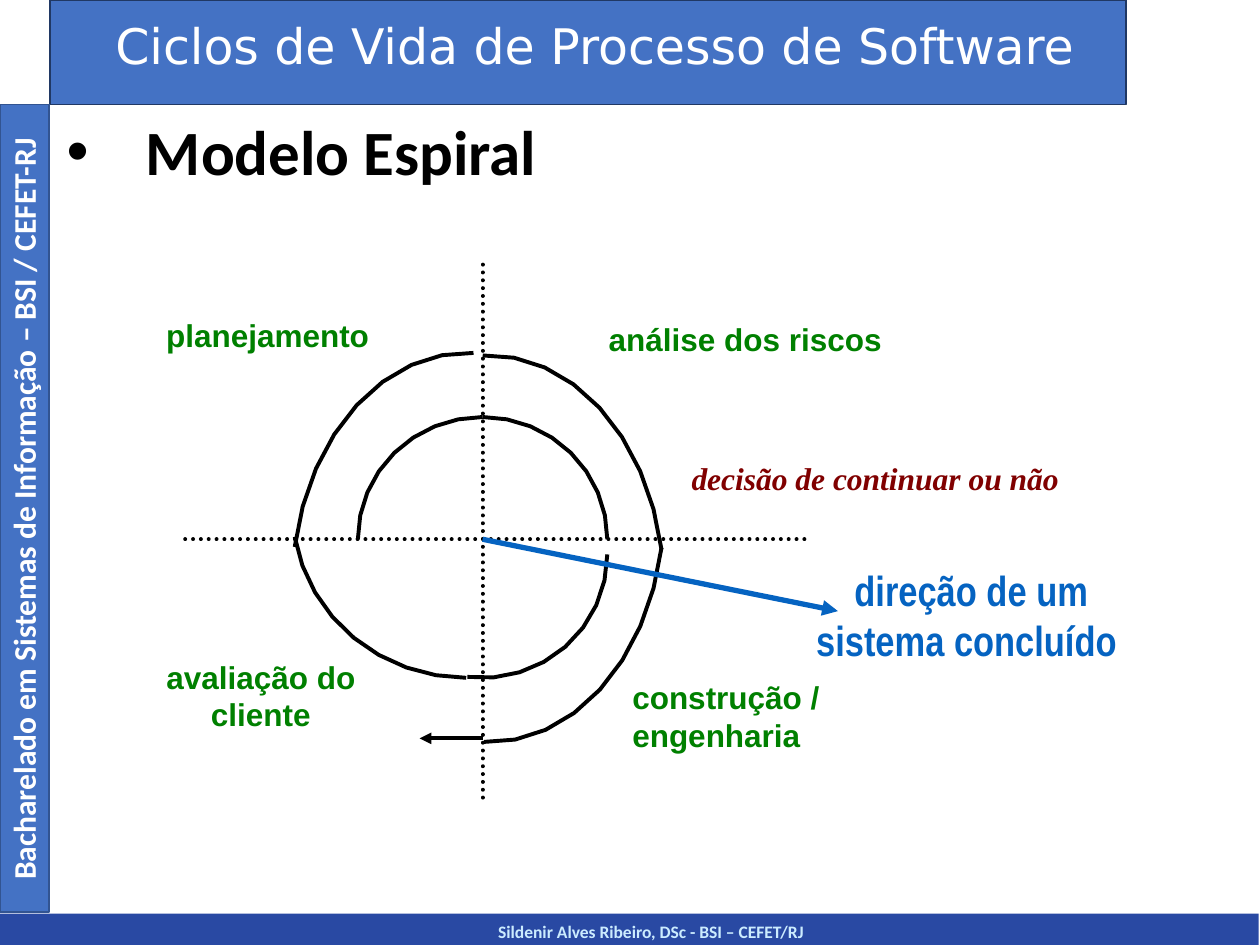
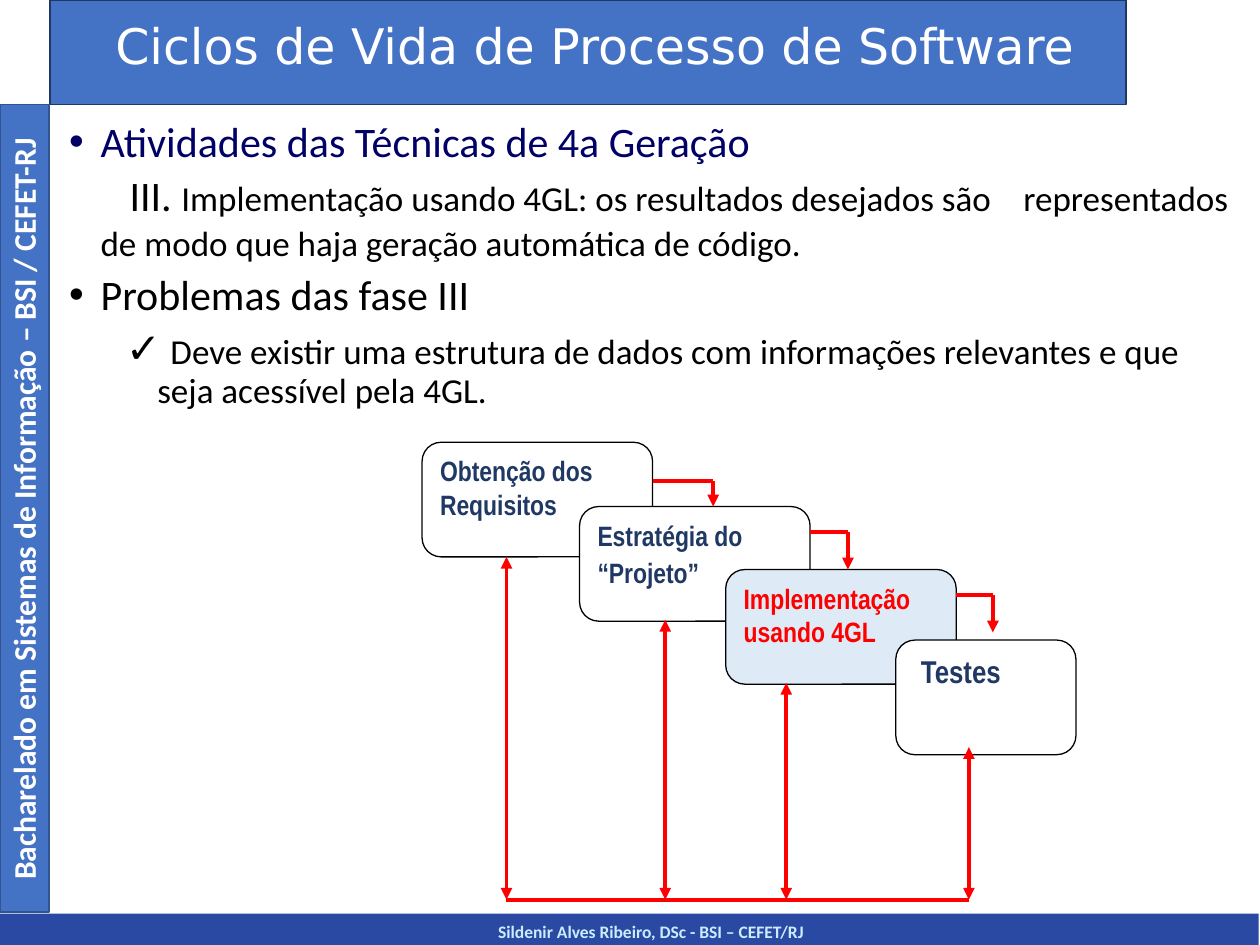
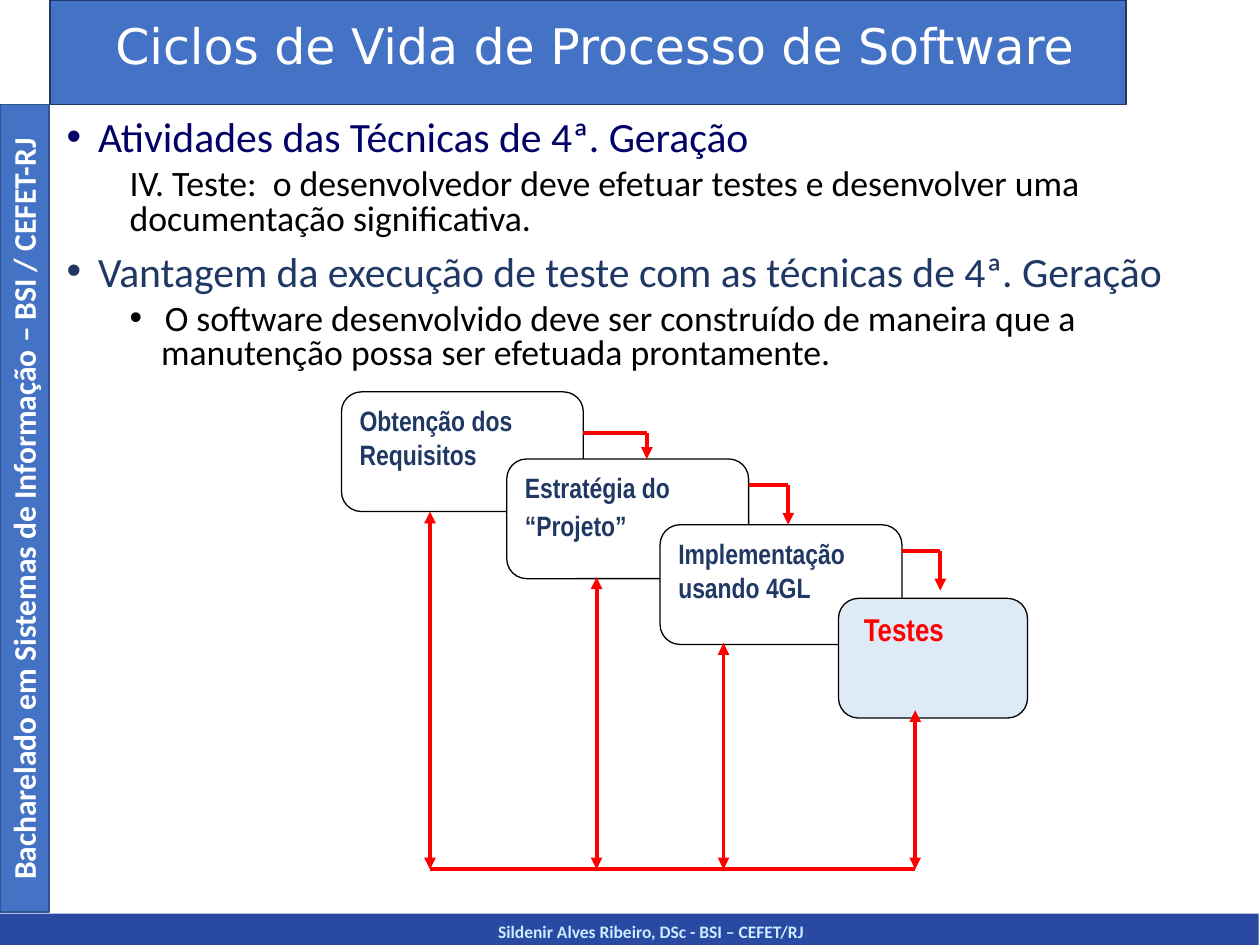
"""Builds three slides on software life cycle models."""
import math

import pptx
import pptx.dml.color
import pptx.enum.dml
import pptx.enum.shapes
import pptx.enum.text
import pptx.oxml
import pptx.oxml.ns
import pptx.util

Inches = pptx.util.Inches
Pt = pptx.util.Pt
RGBColor = pptx.dml.color.RGBColor
MSO_SHAPE = pptx.enum.shapes.MSO_SHAPE
CENTER = pptx.enum.text.PP_ALIGN.CENTER

BLACK = RGBColor(0x00, 0x00, 0x00)
WHITE = RGBColor(0xFF, 0xFF, 0xFF)
BAND_BLUE = RGBColor(0x44, 0x72, 0xC4)
FOOTER_BLUE = RGBColor(0x29, 0x49, 0xA3)
FOOTER_TEXT = RGBColor(0xCC, 0xEC, 0xFF)
DARK_BLUE = RGBColor(0x20, 0x38, 0x64)
SIDE_LINE = RGBColor(0x32, 0x54, 0x91)
NAVY = RGBColor(0x00, 0x00, 0x66)
PALE_BLUE = RGBColor(0xDE, 0xEB, 0xF7)
LINK_BLUE = RGBColor(0x05, 0x63, 0xC1)
GREEN = RGBColor(0x00, 0x80, 0x00)
MAROON = RGBColor(0x80, 0x00, 0x00)
RED = RGBColor(0xFF, 0x00, 0x00)

STEP_WIDTH, LAST_STEP_WIDTH, STEP_HEIGHT = 1.83, 1.43, 0.91
STEPS = [
    ("Obtenção dos Requisitos", 0, 0),
    ("Estratégia do “Projeto”", 1.25, 0.51),
    ("Implementação usando 4GL", 2.41, 1.01),
    ("Testes", 3.76, 1.57),
]
ELBOWS = [(0.31, 2.31, 0.51), (0.71, 3.38, 1.01), (1.21, 4.53, 1.51)]
RETURNS = [(0.67, 0.91), (1.93, 1.41), (2.89, 1.91), (4.34, 2.42)]
RETURN_BASE = 3.63


def write(paragraph, text, font="Calibri", size=18, color=BLACK, bold=False, italic=False,
          tracking=0):
    """Append a formatted run to a paragraph."""
    run = paragraph.add_run()
    run.text = text
    run.font.name = font
    run.font.size = Pt(size)
    run.font.color.rgb = color
    run.font.bold = bold
    run.font.italic = italic
    if tracking:
        run._r.get_or_add_rPr().set("spc", str(round(tracking * 100)))


def append_xml(parent, tag, inner="", **attributes):
    """Append a DrawingML element to a parent element."""
    listed = "".join(f' {name}="{value}"' for name, value in attributes.items())
    namespace = pptx.oxml.ns.nsdecls("a")
    parent.append(pptx.oxml.parse_xml(f"<a:{tag} {namespace}{listed}>{inner}</a:{tag}>"))


def lay_out(paragraph, margin=0, indent=0, spacing=0.9, before=0, bullet=None, tab=None):
    """Set spacing, indents, bullet and tab stop of a paragraph."""
    paragraph.line_spacing = spacing
    paragraph.space_before = Pt(before)
    properties = paragraph._p.get_or_add_pPr()
    properties.set("marL", str(Inches(margin)))
    properties.set("indent", str(Inches(indent)))
    if bullet:
        append_xml(properties, "buFont", typeface="Arial")
        append_xml(properties, "buChar", char=bullet)
    if tab:
        append_xml(properties, "tabLst", f'<a:tab pos="{Inches(tab)}" algn="l"/>')


def add_text_box(slide, left, top, width, height):
    """Add a wrapping text box and return it."""
    box = slide.shapes.add_textbox(Inches(left), Inches(top), Inches(width), Inches(height))
    box.text_frame.word_wrap = True
    return box


def add_label(slide, text, left, top, width, height, align=None, **style):
    """Add a text box with one formatted paragraph."""
    box = add_text_box(slide, left, top, width, height)
    paragraph = box.text_frame.paragraphs[0]
    paragraph.alignment = align
    write(paragraph, text, **style)
    return box


def add_body(slide, left, top, width, height, paragraphs):
    """Add a text box from pairs of layout and runs."""
    frame = add_text_box(slide, left, top, width, height).text_frame
    for index, (layout, runs) in enumerate(paragraphs):
        paragraph = frame.add_paragraph() if index else frame.paragraphs[0]
        lay_out(paragraph, **layout)
        for text, style in runs:
            write(paragraph, text, **style)


def add_block(slide, kind, left, top, width, height, fill, line=None, weight=1):
    """Add a filled preset shape."""
    shape = slide.shapes.add_shape(
        kind, Inches(left), Inches(top), Inches(width), Inches(height))
    shape.shadow.inherit = False
    shape.fill.solid()
    shape.fill.fore_color.rgb = fill
    if line is None:
        shape.line.fill.background()
    else:
        shape.line.color.rgb = line
        shape.line.width = Pt(weight)
    return shape


def add_line(slide, start, end, color, weight=2.25, head=False, tail=False, dotted=False):
    """Add a straight line with optional arrowheads."""
    connector = slide.shapes.add_connector(
        pptx.enum.shapes.MSO_CONNECTOR.STRAIGHT, *map(Inches, start), *map(Inches, end))
    connector.line.color.rgb = color
    connector.line.width = Pt(weight)
    outline = connector.line._get_or_add_ln()
    if dotted:
        connector.line.dash_style = pptx.enum.dml.MSO_LINE.ROUND_DOT
        outline.set("cap", "rnd")
    if head:
        append_xml(outline, "headEnd", type="triangle")
    if tail:
        append_xml(outline, "tailEnd", type="triangle")
    append_xml(connector._element.spPr, "effectLst")


def add_arc(slide, center, radii, start, end, steps=8):
    """Add an open elliptical arc, with angles in clockwise degrees."""
    angles = [math.radians(start + (end - start) * step / steps) for step in range(steps + 1)]
    points = [
        (Inches(center[0] + radii[0] * math.cos(angle)),
         Inches(center[1] + radii[1] * math.sin(angle)))
        for angle in angles
    ]
    builder = slide.shapes.build_freeform(*points[0])
    builder.add_line_segments(points[1:], close=False)
    arc = builder.convert_to_shape()
    arc.shadow.inherit = False
    arc.fill.background()
    arc.line.color.rgb = BLACK
    arc.line.width = Pt(2.25)


def add_framed_slide(presentation):
    """Add a blank slide with the shared bands, title and footer."""
    slide = presentation.slides.add_slide(presentation.slide_layouts[6])
    add_block(slide, MSO_SHAPE.RECTANGLE, 0, 7.25, 9.99, 0.25, FOOTER_BLUE)
    add_label(slide, "Sildenir Alves Ribeiro, DSc - BSI – CEFET/RJ", 0.51, 7.26, 9.31, 0.25,
              align=CENTER, size=10, color=FOOTER_TEXT, bold=True)
    add_block(slide, MSO_SHAPE.RECTANGLE, 0.4, 0, 8.54, 0.83, BAND_BLUE, DARK_BLUE)
    add_block(slide, MSO_SHAPE.RECTANGLE, 0, 0.83, 0.39, 6.41, BAND_BLUE, SIDE_LINE)
    side = add_label(slide, "Bacharelado em Sistemas de Informação – BSI / CEFET-RJ",
                     -3.02, 3.84, 6.41, 0.4, align=CENTER, color=WHITE, bold=True)
    side.rotation = 270
    title = add_label(slide, "Ciclos de Vida de Processo de Software", 0.42, 0.13, 8.6, 0.63,
                      align=CENTER, font="DejaVu Sans", size=28, color=WHITE)
    title.text_frame.paragraphs[0].line_spacing = 0.9
    return slide


def add_staircase(slide, left, top, active, width=STEP_WIDTH, height=STEP_HEIGHT):
    """Draw the 4GL steps with one active, scaled to the given step size."""
    scale_x, scale_y = width / STEP_WIDTH, height / STEP_HEIGHT

    def place(x, y):
        """Turn diagram units into slide inches."""
        return left + x * scale_x, top + y * scale_y

    for index, (text, x, y) in enumerate(STEPS):
        is_last = index == len(STEPS) - 1
        step_width = LAST_STEP_WIDTH * scale_x if is_last else width
        step = add_block(slide, MSO_SHAPE.ROUNDED_RECTANGLE, *place(x, y), step_width, height,
                         PALE_BLUE if index == active else WHITE, BLACK, 0.75)
        step.text_frame.word_wrap = True
        step.text_frame.vertical_anchor = pptx.enum.text.MSO_ANCHOR.TOP
        paragraph = step.text_frame.paragraphs[0]
        paragraph.alignment = pptx.enum.text.PP_ALIGN.LEFT
        style = {"font": "Arial Narrow", "color": RED if index == active else DARK_BLUE,
                 "bold": True}
        if is_last:
            write(paragraph, " ", **style)
        write(paragraph, text, size=18 if is_last else 16, **style)
        if index == 1:
            write(paragraph, " ", **style)

    for (_, x, _), (y, corner, tip) in zip(STEPS, ELBOWS):
        add_line(slide, place(x + STEP_WIDTH, y), place(corner, y), RED)
        add_line(slide, place(corner, y), place(corner, tip), RED, tail=True)
    add_line(slide, place(RETURNS[0][0], RETURN_BASE), place(RETURNS[-1][0], RETURN_BASE), RED)
    for x, y in RETURNS:
        add_line(slide, place(x, y), place(x, RETURN_BASE), RED, head=True, tail=True)


def add_spiral_slide(presentation):
    """Build the spiral model slide."""
    slide = add_framed_slide(presentation)
    add_label(slide, "decisão de continuar ou não", 5.39, 3.59, 4.24, 0.61,
              font="Times New Roman", color=MAROON, bold=True, italic=True)
    add_label(slide, " direção de um sistema concluído", 6.33, 4.43, 2.68, 1.63, align=CENTER,
              font="Arial Narrow", size=24, color=LINK_BLUE, bold=True)
    for text, left, top, width, align in [
        ("avaliação do cliente", 1.14, 5.17, 1.86, CENTER),
        ("construção / engenharia", 4.92, 5.33, 2.61, None),
        ("análise dos riscos", 4.61, 2.49, 2.61, CENTER),
        ("planejamento", 1.22, 2.46, 2.61, None),
    ]:
        add_label(slide, text, left, top, width, 1.09, align=align,
                  font="Arial", color=GREEN, bold=True)

    for center, radii, start, end in [
        ((3.83, 4.28), (0.99, 0.97), 180, 270),
        ((3.83, 4.28), (0.99, 0.97), 270, 360),
        ((3.83, 4.4), (0.99, 0.98), 0, 97),
        ((3.7, 4.04), (1.38, 1.34), 170.5, 90),
        ((3.71, 4.65), (1.39, 1.85), 189.6, 272),
        ((3.88, 4.67), (1.39, 1.85), 350.4, 268),
        ((3.89, 4.04), (1.38, 1.85), 9.6, 92),
    ]:
        add_arc(slide, center, radii, start, end)

    add_line(slide, (3.83, 5.86), (3.33, 5.86), BLACK, tail=True)
    add_line(slide, (3.83, 2.1), (3.83, 6.35), BLACK, dotted=True)
    add_line(slide, (1.47, 4.28), (6.44, 4.28), BLACK, dotted=True)
    add_line(slide, (3.83, 4.28), (6.65, 4.85), LINK_BLUE, weight=3, tail=True)
    add_body(slide, 0.43, 0.91, 8.62, 0.91, [
        ({"margin": 0.63, "indent": -0.63, "bullet": "•"},
         [("Modelo Espiral", {"size": 36, "bold": True})]),
    ])


def add_implementation_slide(presentation):
    """Build the slide on implementation with a 4GL."""
    slide = add_framed_slide(presentation)
    topic = {"margin": 0.3, "indent": -0.25, "before": 5, "bullet": "•"}
    large, small = {"size": 24}, {"size": 20}
    add_body(slide, 0.4, 0.91, 9.55, 2.68, [
        (topic, [("Atividades das Técnicas de 4a Geração", {"size": 24, "color": NAVY})]),
        ({"margin": 0.3, "indent": 0.23, "before": 5},
         [("III. ", large),
          ("Implementação usando 4GL: os resultados desejados são", small),
          (" ", {"size": 20, "tracking": 13.5}),
          ("representados de modo que haja geração automática de código.", small),
          (" ", large)]),
        (topic, [("Problemas das fase III", large)]),
        ({"margin": 0.75, "indent": -0.25, "before": 5, "bullet": "✓"},
         [(" ", large),
          ("Deve existir uma estrutura de dados com informações relevantes e que "
           "seja acessível pela 4GL.", small)]),
    ])
    add_staircase(slide, 3.35, 3.51, active=2)


def add_testing_slide(presentation):
    """Build the slide on testing with fourth generation techniques."""
    slide = add_framed_slide(presentation)
    add_staircase(slide, 2.71, 3.11, active=3, width=1.92, height=0.95)
    topic = {"margin": 0.25, "indent": -0.25, "spacing": 0.8, "before": 10, "bullet": "•"}
    detail = {"spacing": 0.8, "before": 5}
    small = {"size": 20.4}
    add_body(slide, 0.43, 0.91, 9.57, 2.2, [
        (topic, [("Atividades das Técnicas de 4ª. Geração", {"size": 23.8, "color": NAVY})]),
        ({"margin": 0.5, **detail},
         [("IV. Teste:  o desenvolvedor deve efetuar testes e desenvolver uma "
           "documentação significativa.", small)]),
        (topic, [("Vantagem da execução de teste com as técnicas de 4ª. Geração",
                  {"size": 23.8, "color": DARK_BLUE})]),
        ({"margin": 0.75, "indent": -0.25, "bullet": "•", "tab": 0.78, **detail},
         [("\tO software desenvolvido deve ser construído de maneira que a "
           "manutenção possa ser efetuada prontamente.", small)]),
    ])


def main():
    """Build and save the presentation."""
    presentation = pptx.Presentation()
    presentation.slide_width = Inches(10)
    presentation.slide_height = Inches(7.5)
    add_spiral_slide(presentation)
    add_implementation_slide(presentation)
    add_testing_slide(presentation)
    presentation.save("out.pptx")


if __name__ == "__main__":
    main()
